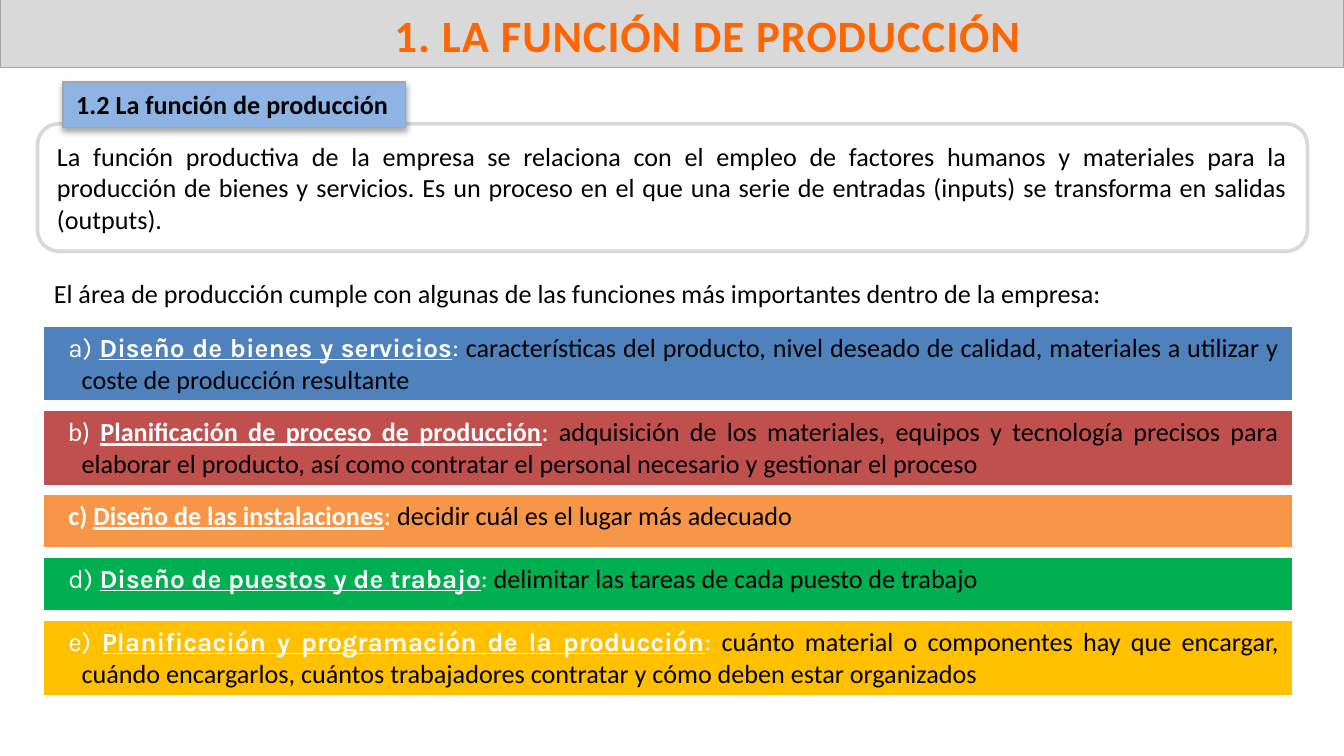
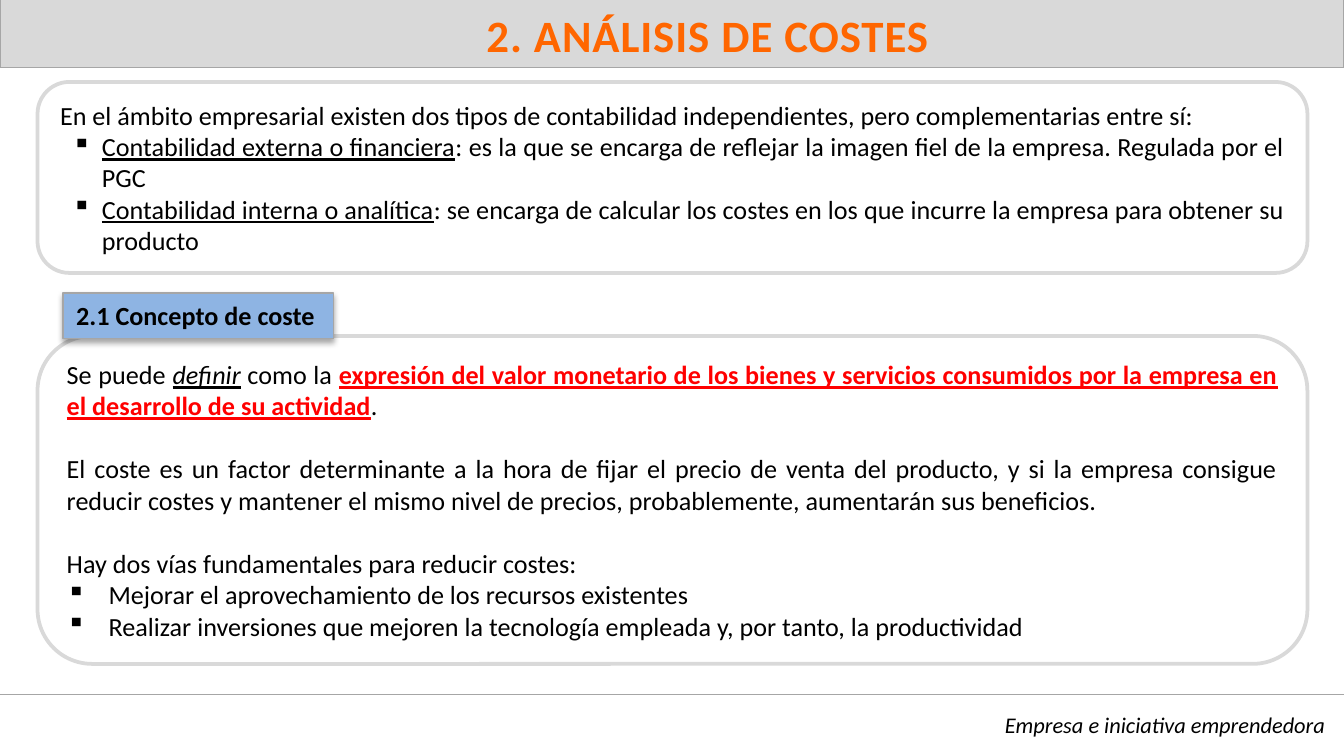
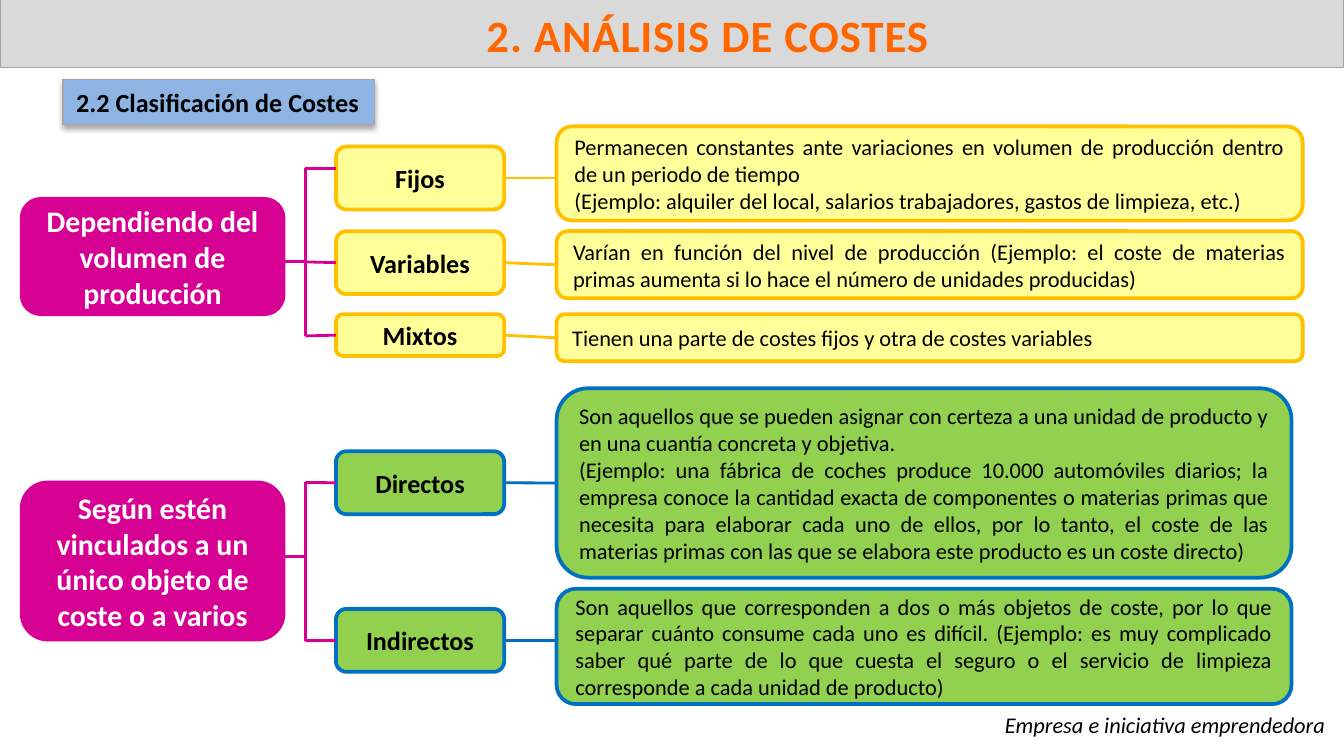
from dataclasses import dataclass

from lxml import etree
from pptx import Presentation
from pptx.dml.color import RGBColor
from pptx.enum.shapes import MSO_CONNECTOR, MSO_SHAPE
from pptx.enum.text import MSO_ANCHOR, PP_ALIGN
from pptx.oxml.ns import qn
from pptx.util import Cm, Pt

RECT, ROUND = MSO_SHAPE.RECTANGLE, MSO_SHAPE.ROUNDED_RECTANGLE
STRAIGHT = MSO_CONNECTOR.STRAIGHT
TOP, MIDDLE, BOTTOM = MSO_ANCHOR.TOP, MSO_ANCHOR.MIDDLE, MSO_ANCHOR.BOTTOM
LEFT, RIGHT = PP_ALIGN.LEFT, PP_ALIGN.RIGHT
CENTER, JUSTIFY = PP_ALIGN.CENTER, PP_ALIGN.JUSTIFY


@dataclass(frozen=True)
class Theme:
    font: str = "Calibri"
    accent: str = "Karla"
    black: str = "000000"
    white: str = "FFFFFF"
    band: str = "D9D9D9"
    rule: str = "A6A6A6"
    title: str = "FF6600"
    edge: str = "101A26"
    tag: str = "8EB4E3"
    red: str = "FF0000"
    pink: str = "D60093"
    sand: str = "FFFF99"
    gold: str = "FFC000"
    lime: str = "92D050"
    sea: str = "0070C0"
    blue: str = "4F81BD"
    brick: str = "C0504D"
    orange: str = "F79646"
    green: str = "00B050"
    big: int = 24
    root: int = 16
    body: int = 14
    small: int = 12


@dataclass
class Run:
    text: str
    marks: str = ""  # any of b, i, u
    color: str = ""
    face: str = ""


@dataclass
class Para:
    runs: list
    left: float = 0
    hang: float = 0
    mark: str = ""
    start: int = 0
    gap: int = 0


def rgb(code):
    return RGBColor.from_string(code)


def node(parent, tag, at=None, **attrs):
    """Add a DrawingML child, at a given index or at the end."""
    item = etree.Element(qn(tag), {k: str(v) for k, v in attrs.items()})
    parent.insert(len(parent) if at is None else at, item)
    return item


def tint(parent, code, alpha=None):
    color = node(parent, "a:srgbClr", val=code)
    if alpha is not None:
        node(color, "a:alpha", val=alpha * 1000)


def middle(shape):
    return shape.top + shape.height // 2


class Deck:
    def __init__(self, theme):
        self.theme = theme
        self.prs = Presentation()
        self.prs.slide_width, self.prs.slide_height = Cm(25.4), Cm(14.29)
        self.slide = None

    def page(self, title):
        t = self.theme
        self.slide = self.prs.slides.add_slide(self.prs.slide_layouts[6])
        band = self.box(RECT, (0, -0.02, 25.4, 1.3), t.band, t.rule, 0.75)
        self.put(band.text_frame, [Para([Run(title)], left=1.35)], t.big,
                 CENTER, BOTTOM, t.title, bold=True)
        props = band.text_frame.paragraphs[0].runs[0].font._element
        props.set("spc", "50")
        line = node(props, "a:ln", 0, w=Pt(1.06))
        tint(node(line, "a:solidFill"), t.edge, 6)

    def box(self, kind, area, fill=None, line=None, width=2.0):
        shape = self.slide.shapes.add_shape(kind, *map(Cm, area))
        shape.shadow.inherit = False
        if fill:
            shape.fill.solid()
            shape.fill.fore_color.rgb = rgb(fill)
        else:
            shape.fill.background()
        if line:
            shape.line.color.rgb = rgb(line)
            shape.line.width = Pt(width)
        else:
            shape.line.fill.background()
        return shape

    def put(self, frame, paras, size, align=JUSTIFY, anchor=MIDDLE,
            color=None, bold=False, italic=False):
        """Set the paragraphs of a text frame."""
        frame.word_wrap = True
        frame.vertical_anchor = anchor
        for i, para in enumerate(paras):
            if isinstance(para, str):
                para = Para([Run(para)])
            p = frame.add_paragraph() if i else frame.paragraphs[0]
            p.alignment = align
            if para.gap:
                p.space_before = Pt(para.gap)
            props = p._p.get_or_add_pPr()
            if para.left:
                props.set("marL", str(Cm(para.left)))
                props.set("indent", str(Cm(-para.hang)))
            if para.mark:
                node(props, "a:buChar", char=para.mark)
            elif para.start:
                node(props, "a:buAutoNum", type="alphaLcParenR", startAt=para.start)
            font = p.font
            font.name, font.size = self.theme.font, Pt(size)
            font.color.rgb = rgb(color or self.theme.black)
            font.bold, font.italic = bold, italic
            for run in para.runs:
                self.span(p, run)

    def span(self, p, run):
        r = p.add_run()
        r.text = run.text
        for name, key in (("bold", "b"), ("italic", "i"), ("underline", "u")):
            if key in run.marks:
                setattr(r.font, name, True)
        if run.color:
            r.font.color.rgb = rgb(run.color)
        if run.face:
            r.font.name = run.face

    def panel(self, top, high, paras, line=True):
        shape = self.box(ROUND, (0.71, top, 24, high),
                         line=self.theme.band if line else None)
        self.put(shape.text_frame, paras, self.theme.body)

    def tag(self, text, top, wide):
        t = self.theme
        shape = self.box(RECT, (1.19, top, wide, 0.86), t.tag, t.rule, 0.75)
        effects = shape._element.spPr.find(qn("a:effectLst"))
        shade = node(effects, "a:outerShdw", blurRad=Pt(3.1), dist=Pt(1.8),
                     dir=5400000, rotWithShape=0)
        tint(shade, t.black, 35)
        self.put(shape.text_frame, [text], t.body, LEFT, TOP, bold=True)

    def strip(self, top, high, fill, para):
        """Add a one-cell table as a coloured strip."""
        frame = self.slide.shapes.add_table(
            1, 1, Cm(0.81), Cm(top), Cm(23.62), Cm(high))
        table = frame.table
        table.first_row = table.horz_banding = False
        cell = table.cell(0, 0)
        cell.fill.solid()
        cell.fill.fore_color.rgb = rgb(fill)
        props = cell._tc.get_or_add_tcPr()
        for i, (side, width) in enumerate(zip("LRTB", (1, 1, 1, 3))):
            line = node(props, f"a:ln{side}", i, w=Pt(width))
            tint(node(line, "a:solidFill"), self.theme.white)
        self.put(cell.text_frame, [para], self.theme.body, anchor=TOP)

    def card(self, area, paras, fill, line, size, align=CENTER, color=None):
        shape = self.box(ROUND, area, fill, line)
        self.put(shape.text_frame, paras, size, align, color=color,
                 bold=align == CENTER)
        return shape

    def link(self, start, end, color, width=1.5, tail=None, head=None):
        """Draw a line; join it to boxes whose side middles it meets."""
        line = self.slide.shapes.add_connector(STRAIGHT, *start, *end)
        line.line.color.rgb = rgb(color)
        line.line.width = Pt(width)
        node(line._element.spPr, "a:effectLst")
        near = Cm(0.06)
        if tail is not None and abs(middle(tail) - start[1]) < near:
            line.begin_connect(tail, 3)
        if head is not None and abs(middle(head) - end[1]) < near:
            line.end_connect(head, 1)

    def foot(self):
        box = self.slide.shapes.add_textbox(Cm(2.29), Cm(13.31), Cm(23.01), Cm(0.76))
        self.put(box.text_frame, ["Empresa e iniciativa emprendedora"],
                 self.theme.small, RIGHT, TOP, italic=True)

    def tree(self, root, area, stub, kids, fill, line, wide):
        """Draw a root box, its branches and the text beside each branch."""
        t = self.theme
        base = self.card(area, [root], t.pink, t.pink, t.root, color=t.white)
        trunk = Cm(5.77)
        for name, top, high, branch, note_top, note_high, paras in kids:
            kid = self.card((6.35, top, 3.18, high), [name], fill, line, t.body)
            note = self.card((10.52, note_top, wide, note_high), paras,
                             fill, line, t.small, JUSTIFY)
            y = middle(kid)
            self.link((kid.left + kid.width, y), (note.left, y), line,
                      tail=kid, head=note)
            self.link((trunk, Cm(branch)), (kid.left, Cm(branch)), t.pink, head=kid)
        self.link((trunk, Cm(kids[0][3])), (trunk, Cm(kids[-1][3])), t.pink)
        self.link((base.left + base.width, Cm(stub)), (trunk, Cm(stub)),
                  t.pink, tail=base)


def tasks(deck):
    t = deck.theme
    deck.page("1. LA FUNCIÓN DE PRODUCCIÓN")
    deck.panel(2.34, 2.41, [
        "La función productiva de la empresa se relaciona con el empleo de factores "
        "humanos y materiales para la producción de bienes y servicios. Es un proceso "
        "en el que una serie de entradas (inputs) se transforma en salidas (outputs)."])
    deck.tag("1.2 La función de producción", 1.55, 6.48)
    deck.panel(4.95, 1.19, [
        "El área de producción cumple con algunas de las funciones más importantes "
        "dentro de la empresa:"], line=False)
    rows = [
        (t.blue, t.accent, "", 1.59, "Diseño de bienes y servicios",
         "características del producto, nivel deseado de calidad, materiales a utilizar "
         "y coste de producción resultante"),
        (t.brick, t.font, "", 1.59, "Planificación de proceso de producción",
         "adquisición de los materiales, equipos y tecnología precisos para elaborar el "
         "producto, así como contratar el personal necesario y gestionar el proceso"),
        (t.orange, t.font, "b", 1.19, "Diseño de las instalaciones",
         "decidir cuál es el lugar más adecuado"),
        (t.green, t.accent, "", 1.19, "Diseño de puestos y de trabajo",
         "delimitar las tareas de cada puesto de trabajo"),
        (t.gold, t.accent, "", 1.59, "Planificación y programación de la producción",
         "cuánto material o componentes hay que encargar, cuándo encargarlos, cuántos "
         "trabajadores contratar y cómo deben estar organizados"),
    ]
    top = 6.16
    for i, (fill, face, marks, step, name, text) in enumerate(rows, 1):
        runs = [Run(" ", marks, t.white, face), Run(name, "bu", t.white, face),
                Run(": ", "", t.white, face), Run(text)]
        deck.strip(top, step - 0.14, fill, Para(runs, 0.48, 0.25, start=i))
        top += step


def concept(deck):
    t = deck.theme
    deck.page("2. ANÁLISIS DE COSTES")
    kinds = [
        ("Contabilidad externa o financiera",
         ": es la que se encarga de reflejar la imagen fiel de la empresa. Regulada por "
         "el PGC"),
        ("Contabilidad interna o analítica",
         ": se encarga de calcular los costes en los que incurre la empresa para obtener "
         "su producto"),
    ]
    deck.panel(1.55, 3.61, [
        "En el ámbito empresarial existen dos tipos de contabilidad independientes, pero "
        "complementarias entre sí:",
        *(Para([Run(name, "u"), Run(text)], 0.79, 0.56, "▪") for name, text in kinds)])
    ways = ["Mejorar el aprovechamiento de los recursos existentes",
            "Realizar inversiones que mejoren la tecnología empleada y, por tanto, la "
            "productividad"]
    deck.panel(6.35, 6.2, [
        Para([Run("Se puede "), Run("definir", "iu"), Run(" como la "),
              Run("expresión del valor monetario de los bienes y servicios consumidos "
                  "por la empresa en el desarrollo de su actividad", "bu", t.red),
              Run(".")]),
        Para([Run("El coste es un factor determinante a la hora de fijar el precio de "
                  "venta del producto, y si la empresa consigue reducir costes y mantener "
                  "el mismo nivel de precios, probablemente, aumentarán sus beneficios.")],
             gap=17),
        Para([Run("Hay dos vías fundamentales para reducir costes:")], gap=17),
        *(Para([Run(way)], 0.79, 0.79, "▪") for way in ways)])
    deck.tag("2.1 Concepto de coste", 5.54, 5.11)
    deck.link((0, Cm(13.13)), (Cm(25.4), Cm(13.13)), t.rule, 0.75)
    deck.foot()


def classes(deck):
    t = deck.theme
    deck.page("2. ANÁLISIS DE COSTES")
    deck.tag("2.2 Clasificación de Costes", 1.5, 5.89)
    deck.tree("Dependiendo del volumen de producción", (0.41, 3.76, 4.95, 2.18), 4.95, [
        ("Fijos", 2.77, 1.19, 3.18, 2.39, 1.78, [
            "Permanecen constantes ante variaciones en volumen de producción dentro de "
            "un periodo de tiempo",
            "(Ejemplo: alquiler del local, salarios trabajadores, gastos de limpieza, "
            "etc.)"]),
        ("Variables", 4.37, 1.19, 4.95, 4.37, 1.27, [
            "Varían en función del nivel de producción (Ejemplo: el coste de materias "
            "primas aumenta si lo hace el número de unidades producidas)"]),
        ("Mixtos", 5.94, 0.79, 6.35, 5.94, 0.89, [
            "Tienen una parte de costes fijos y otra de costes variables"]),
    ], t.sand, t.gold, 14.1)
    deck.tree("Según estén vinculados a un único objeto de coste o a varios",
              (0.41, 9.12, 4.95, 2.97), 10.52, [
        ("Directos", 8.53, 1.19, 9.12, 7.34, 3.58, [
            "Son aquellos que se pueden asignar con certeza a una unidad de producto y en "
            "una cuantía concreta y objetiva.",
            "(Ejemplo: una fábrica de coches produce 10.000 automóviles diarios; la "
            "empresa conoce la cantidad exacta de componentes o materias primas que "
            "necesita para elaborar cada uno de ellos, por lo tanto, el coste de las "
            "materias primas con las que se elabora este producto es un coste directo)"]),
        ("Indirectos", 11.51, 1.19, 12.11, 11.13, 2.18, [
            "Son aquellos que corresponden a dos o más objetos de coste, por lo que "
            "separar cuánto consume cada uno es difícil. (Ejemplo: es muy complicado "
            "saber qué parte de lo que cuesta el seguro o el servicio de limpieza "
            "corresponde a cada unidad de producto)"]),
    ], t.lime, t.sea, 13.89)
    deck.foot()


def main():
    deck = Deck(Theme())
    tasks(deck)
    concept(deck)
    classes(deck)
    deck.prs.save("out.pptx")


if __name__ == "__main__":
    main()
